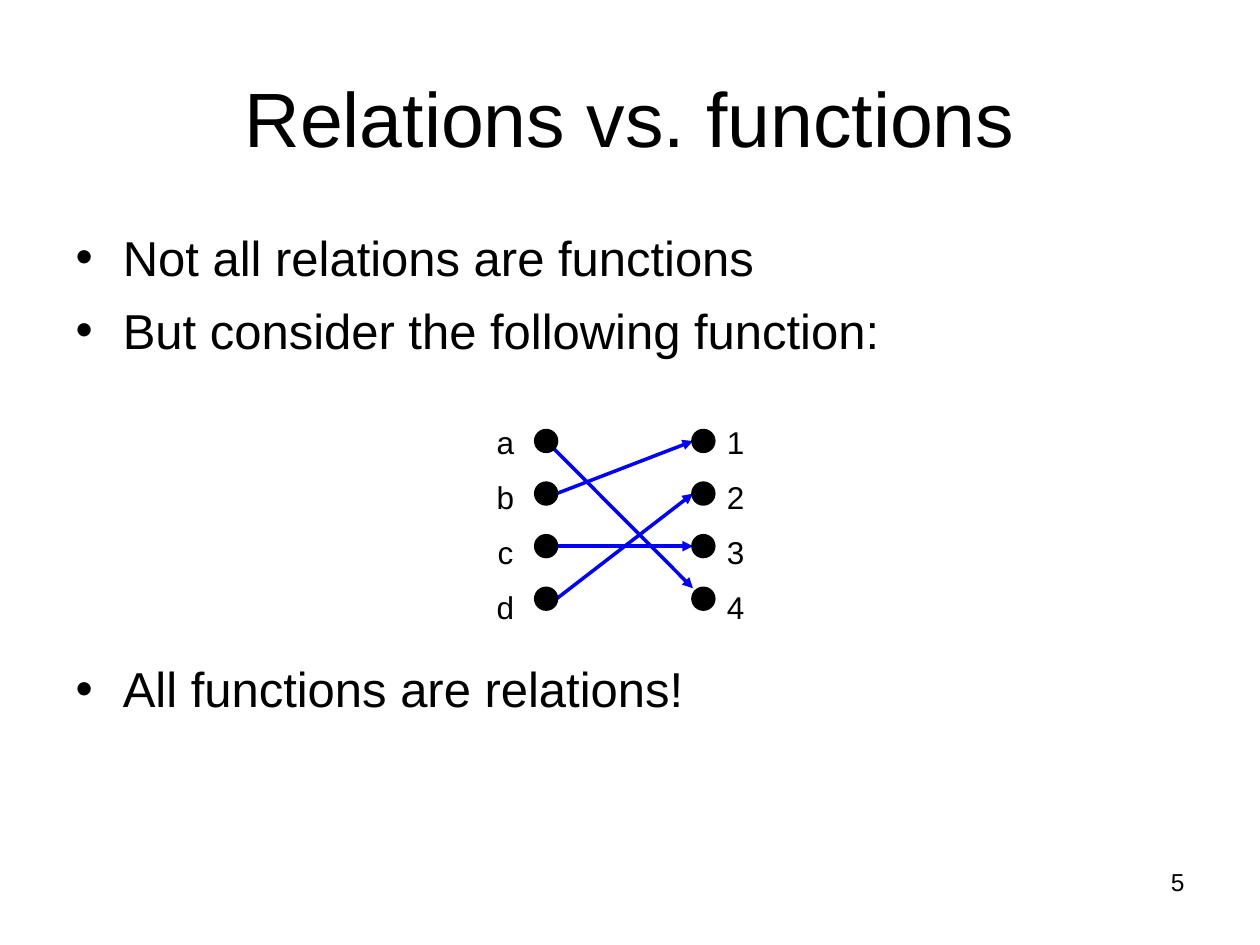
from dataclasses import dataclass

from lxml.etree import SubElement
from pptx import Presentation
from pptx.dml.color import RGBColor
from pptx.enum.shapes import MSO_CONNECTOR, MSO_SHAPE
from pptx.enum.text import MSO_ANCHOR, MSO_AUTO_SIZE, PP_ALIGN
from pptx.oxml.ns import qn
from pptx.util import Cm, Pt

TITLE = "Relations vs. functions"
SLIDE_NUMBER = "5"
# Statement and the space above it, which leaves room for the diagram
STATEMENTS = [
    ("Not all relations are functions", Pt(8.3)),
    ("But consider the following function:", Pt(8.3)),
    ("All functions are relations!", Pt(171.2)),
]
DOMAIN = ["a", "b", "c", "d"]
CODOMAIN = ["1", "2", "3", "4"]
# Where an arrow meets a dot, as fractions of the dot's width and height
LEFT_EDGE, RIGHT_EDGE = (0, 0.5), (1, 0.5)
CENTER, TOP_LEFT = (0.5, 0.5), (0, 0)
MAPPING = [
    ("c", "3", RIGHT_EDGE, LEFT_EDGE),
    ("a", "4", CENTER, TOP_LEFT),
    ("d", "2", RIGHT_EDGE, LEFT_EDGE),
    ("b", "1", RIGHT_EDGE, LEFT_EDGE),
]


@dataclass(frozen=True)
class Theme:
    font: str = "Arial"
    ink: RGBColor = RGBColor(0, 0, 0)
    arrow: RGBColor = RGBColor(0, 0, 255)
    title: Pt = Pt(44)
    body: Pt = Pt(28)
    label: Pt = Pt(18)
    number: Pt = Pt(14)
    line: Pt = Pt(2)


THEME = Theme()
DOT = Cm(0.42)
ROW_PITCH = Cm(1.06)
DOTS_TOP = Cm(8.68)
DOMAIN_LEFT, CODOMAIN_LEFT = Cm(10.8), Cm(13.97)
LABELS_TOP, LABELS_WIDTH, LABELS_HEIGHT = Cm(8.05), Cm(0.86), Cm(4.52)


def apply(target, values):
    for attribute, value in values.items():
        setattr(target, attribute, value)


def place(shape, left, top, width, height):
    apply(shape, {"left": left, "top": top, "width": width, "height": height})


def write(frame, lines, size, **paragraph_format):
    """Fill a text frame with one paragraph per line."""
    frame.text = "\n".join(lines)
    for paragraph in frame.paragraphs:
        apply(paragraph, paragraph_format)
        apply(paragraph.font, {"name": THEME.font, "size": size})
        paragraph.font.color.rgb = THEME.ink


def add_labels(shapes, labels, left):
    box = shapes.add_textbox(left, LABELS_TOP, LABELS_WIDTH, LABELS_HEIGHT)
    box.text_frame.word_wrap = False
    write(box.text_frame, labels, THEME.label,
          alignment=PP_ALIGN.CENTER, line_spacing=1.46)


def dot_corners(labels, left):
    return {label: (left, DOTS_TOP + row * ROW_PITCH)
            for row, label in enumerate(labels)}


def anchor_point(corner, fractions):
    return [int(start + DOT * part) for start, part in zip(corner, fractions)]


def add_arrow(shapes, start, end):
    arrow = shapes.add_connector(MSO_CONNECTOR.STRAIGHT, *start, *end)
    arrow.line.color.rgb = THEME.arrow
    arrow.line.width = THEME.line
    SubElement(arrow.line._get_or_add_ln(), qn("a:tailEnd"), type="triangle")
    SubElement(arrow._element.spPr, qn("a:effectLst"))


def add_dot(shapes, corner):
    dot = shapes.add_shape(MSO_SHAPE.OVAL, *corner, DOT, DOT)
    dot.shadow.inherit = False
    dot.fill.solid()
    dot.fill.fore_color.rgb = THEME.ink
    dot.line.color.rgb = THEME.ink
    dot.line.width = THEME.line


def add_diagram(slide):
    shapes = slide.shapes.add_group_shape().shapes
    add_labels(shapes, CODOMAIN, Cm(14.4))
    add_labels(shapes, DOMAIN, Cm(9.76))
    sources = dot_corners(DOMAIN, DOMAIN_LEFT)
    targets = dot_corners(CODOMAIN, CODOMAIN_LEFT)
    for source, target, leaves, arrives in MAPPING:
        add_arrow(shapes, anchor_point(sources[source], leaves),
                  anchor_point(targets[target], arrives))
    for corner in [*sources.values(), *targets.values()]:
        add_dot(shapes, corner)


def main():
    presentation = Presentation()
    apply(presentation, {"slide_width": Cm(25.4), "slide_height": Cm(19.05)})
    slide = presentation.slides.add_slide(presentation.slide_layouts[1])

    number = slide.shapes.add_textbox(Cm(18.2), Cm(17.35), Cm(5.93), Cm(1.32))
    number.text_frame.word_wrap = True
    write(number.text_frame, [SLIDE_NUMBER], THEME.number,
          alignment=PP_ALIGN.RIGHT)

    title, body = slide.placeholders
    place(title, Cm(1.27), Cm(0.76), Cm(22.86), Cm(3.18))
    apply(title.text_frame, {"vertical_anchor": MSO_ANCHOR.MIDDLE,
                             "auto_size": MSO_AUTO_SIZE.NONE})
    write(title.text_frame, [TITLE], THEME.title, alignment=PP_ALIGN.CENTER)

    place(body, Cm(1.27), Cm(4.45), Cm(22.86), Cm(12.57))
    body.text_frame.auto_size = MSO_AUTO_SIZE.NONE
    write(body.text_frame, [text for text, _ in STATEMENTS], THEME.body,
          alignment=PP_ALIGN.JUSTIFY)
    for paragraph, (_, gap) in zip(body.text_frame.paragraphs, STATEMENTS):
        paragraph.space_before = gap

    add_diagram(slide)
    presentation.save("out.pptx")


if __name__ == "__main__":
    main()
